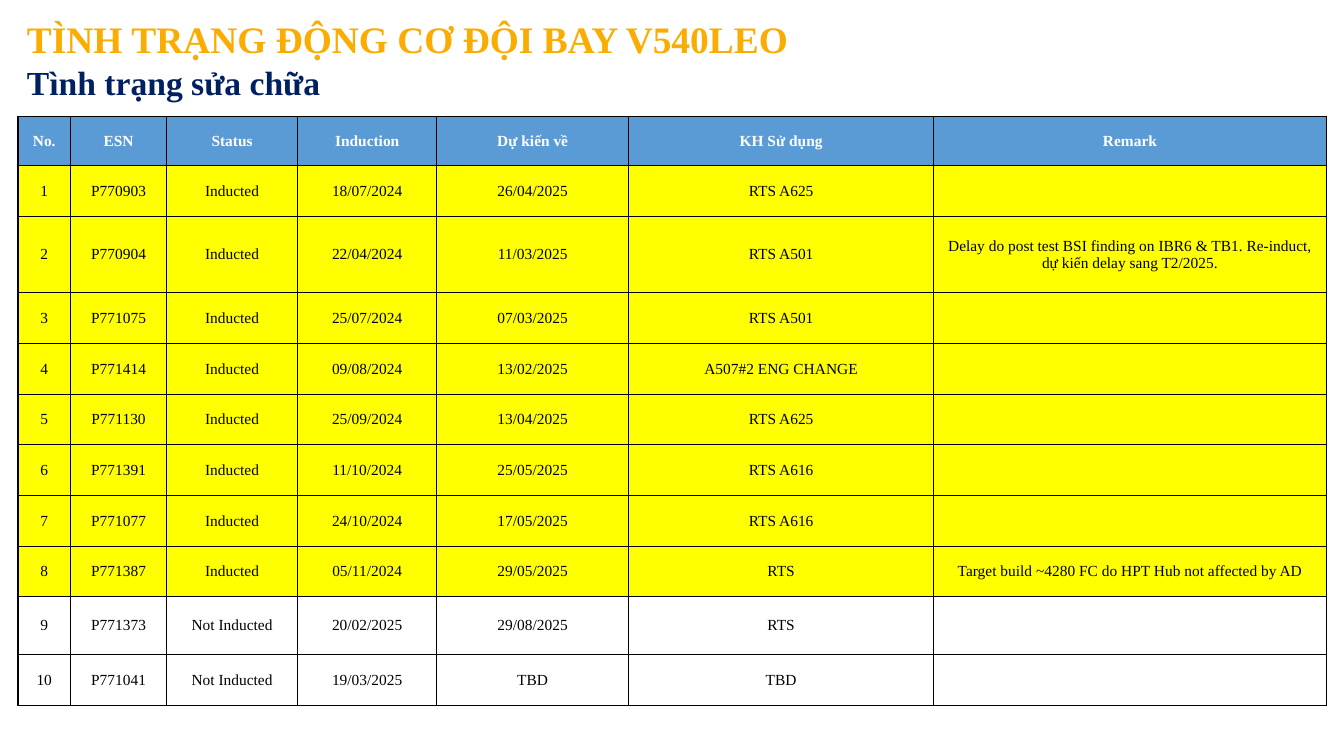
from lxml.etree import SubElement
from pptx import Presentation
from pptx.dml.color import RGBColor
from pptx.enum.text import MSO_ANCHOR, MSO_AUTO_SIZE, PP_ALIGN
from pptx.oxml.ns import qn
from pptx.util import Pt

# Content
TITLE = "TÌNH TRẠNG ĐỘNG CƠ ĐỘI BAY V540LEO"
SUBTITLE = "Tình trạng sửa chữa"
HEADER = ("No.", "ESN", "Status", "Induction", "Dự kiến về", "KH Sử dụng", "Remark")
INDUCTED = "Inducted"
NOT_INDUCTED = "Not Inducted"
ENGINES = [
    ("P770903", INDUCTED, "18/07/2024", "26/04/2025", "RTS A625", ""),
    ("P770904", INDUCTED, "22/04/2024", "11/03/2025", "RTS A501",
     "Delay do post test BSI finding on IBR6 & TB1. Re-induct, dự kiến delay sang T2/2025."),
    ("P771075", INDUCTED, "25/07/2024", "07/03/2025", "RTS A501", ""),
    ("P771414", INDUCTED, "09/08/2024", "13/02/2025", "A507#2 ENG CHANGE", ""),
    ("P771130", INDUCTED, "25/09/2024", "13/04/2025", "RTS A625", ""),
    ("P771391", INDUCTED, "11/10/2024", "25/05/2025", "RTS A616", ""),
    ("P771077", INDUCTED, "24/10/2024", "17/05/2025", "RTS A616", ""),
    ("P771387", INDUCTED, "05/11/2024", "29/05/2025", "RTS",
     "Target build ~4280 FC do HPT Hub not affected by AD"),
    ("P771373", NOT_INDUCTED, "20/02/2025", "29/08/2025", "RTS", ""),
    ("P771041", NOT_INDUCTED, "19/03/2025", "TBD", "TBD", ""),
]

# Style and sizes in points
FONT = "Times New Roman"
ORANGE = RGBColor(0xFB, 0xAC, 0x00)
NAVY = RGBColor(0x00, 0x20, 0x60)
BLUE = RGBColor(0x5B, 0x9B, 0xD5)
YELLOW = RGBColor(0xFF, 0xFF, 0x00)
WHITE = RGBColor(0xFF, 0xFF, 0xFF)
BLACK = RGBColor(0x00, 0x00, 0x00)
COLUMN_WIDTHS = (37.6, 68.6, 93.6, 99.4, 137, 218, 280.4)
ROW_HEIGHT = 36.2
SPECIAL_HEIGHTS = {0: 35.4, 2: 54.6, 9: 41.2}
TABLE_LEFT, TABLE_TOP = 12.8, 83


def add_span(para, text, size, color, bold):
    span = para.add_run()
    span.text = text
    span.font.name = FONT
    span.font.size = Pt(size)
    span.font.bold = bold
    span.font.color.rgb = color


def add_heading(page, text, top, width, height, size, color):
    box = page.shapes.add_textbox(Pt(12.2), Pt(top), Pt(width), Pt(height))
    frame = box.text_frame
    frame.word_wrap = True
    frame.auto_size = MSO_AUTO_SIZE.SHAPE_TO_FIT_TEXT
    add_span(frame.paragraphs[0], text, size, color, True)


def add_borders(cell):
    properties = cell._tc.get_or_add_tcPr()
    for side in ("a:lnL", "a:lnR", "a:lnT", "a:lnB"):
        line = SubElement(properties, qn(side), w=str(Pt(1)))
        fill = SubElement(line, qn("a:solidFill"))
        SubElement(fill, qn("a:srgbClr"), val=str(BLACK))


def fill_cell(cell, text, fill, color, bold):
    add_borders(cell)
    cell.fill.solid()
    cell.fill.fore_color.rgb = fill
    cell.vertical_anchor = MSO_ANCHOR.MIDDLE
    cell.margin_left = cell.margin_right = Pt(9.4)
    cell.margin_top = cell.margin_bottom = Pt(5)
    para = cell.text_frame.paragraphs[0]
    para.alignment = PP_ALIGN.CENTER
    if text:
        add_span(para, text, 11, color, bold)


def add_engine_table(page):
    rows = [HEADER] + [(str(n), *engine) for n, engine in enumerate(ENGINES, 1)]
    heights = [SPECIAL_HEIGHTS.get(i, ROW_HEIGHT) for i in range(len(rows))]
    frame = page.shapes.add_table(
        len(rows), len(HEADER), Pt(TABLE_LEFT), Pt(TABLE_TOP),
        Pt(sum(COLUMN_WIDTHS)), Pt(sum(heights)))
    table = frame.table
    for column, width in zip(table.columns, COLUMN_WIDTHS):
        column.width = Pt(width)
    for index, (values, height) in enumerate(zip(rows, heights)):
        table.rows[index].height = Pt(height)
        if index == 0:
            style = (BLUE, WHITE, True)
        else:
            style = (YELLOW if values[2] == INDUCTED else WHITE, BLACK, False)
        for cell, text in zip(table.rows[index].cells, values):
            fill_cell(cell, text, *style)


def main():
    deck = Presentation()
    deck.slide_width, deck.slide_height = Pt(960), Pt(540)
    page = deck.slides.add_slide(deck.slide_layouts[6])
    add_heading(page, SUBTITLE, 41, 336, 36, 24, NAVY)
    add_engine_table(page)
    add_heading(page, TITLE, 8, 940, 39.6, 26.7, ORANGE)
    deck.save("out.pptx")


if __name__ == "__main__":
    main()
